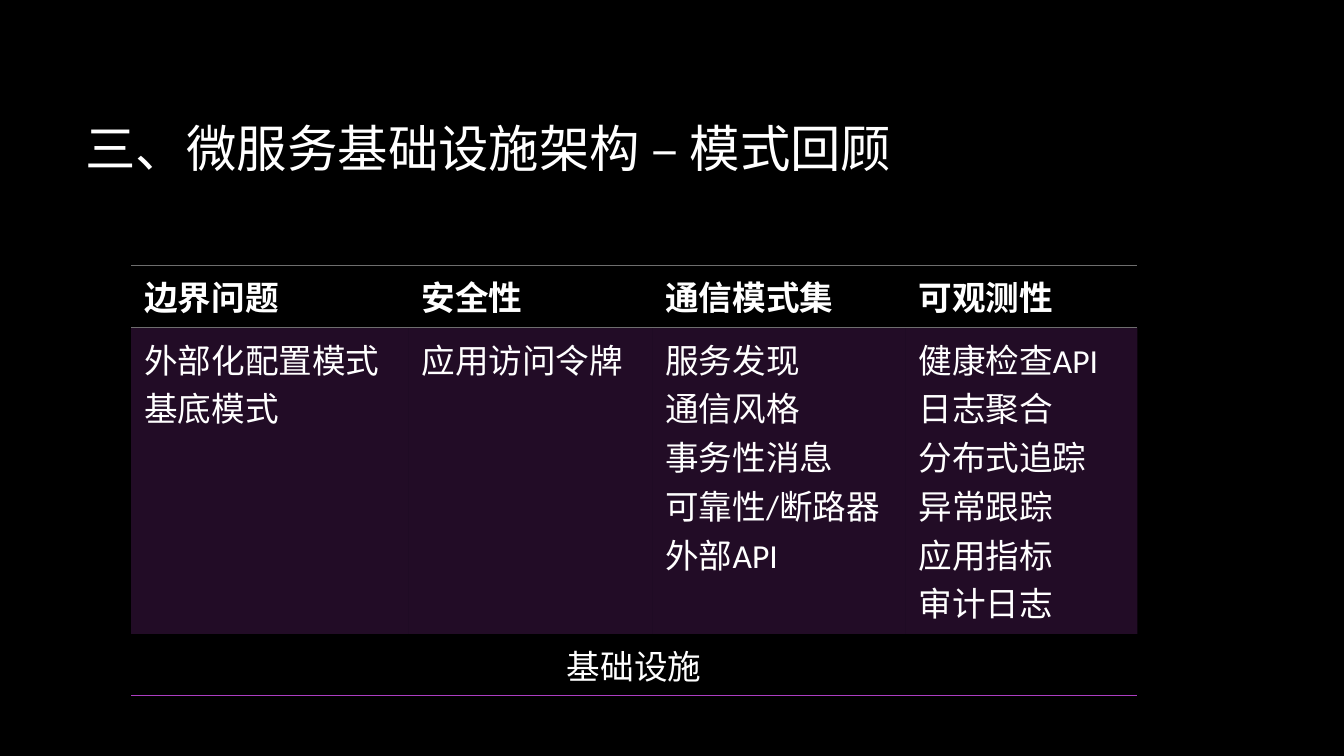
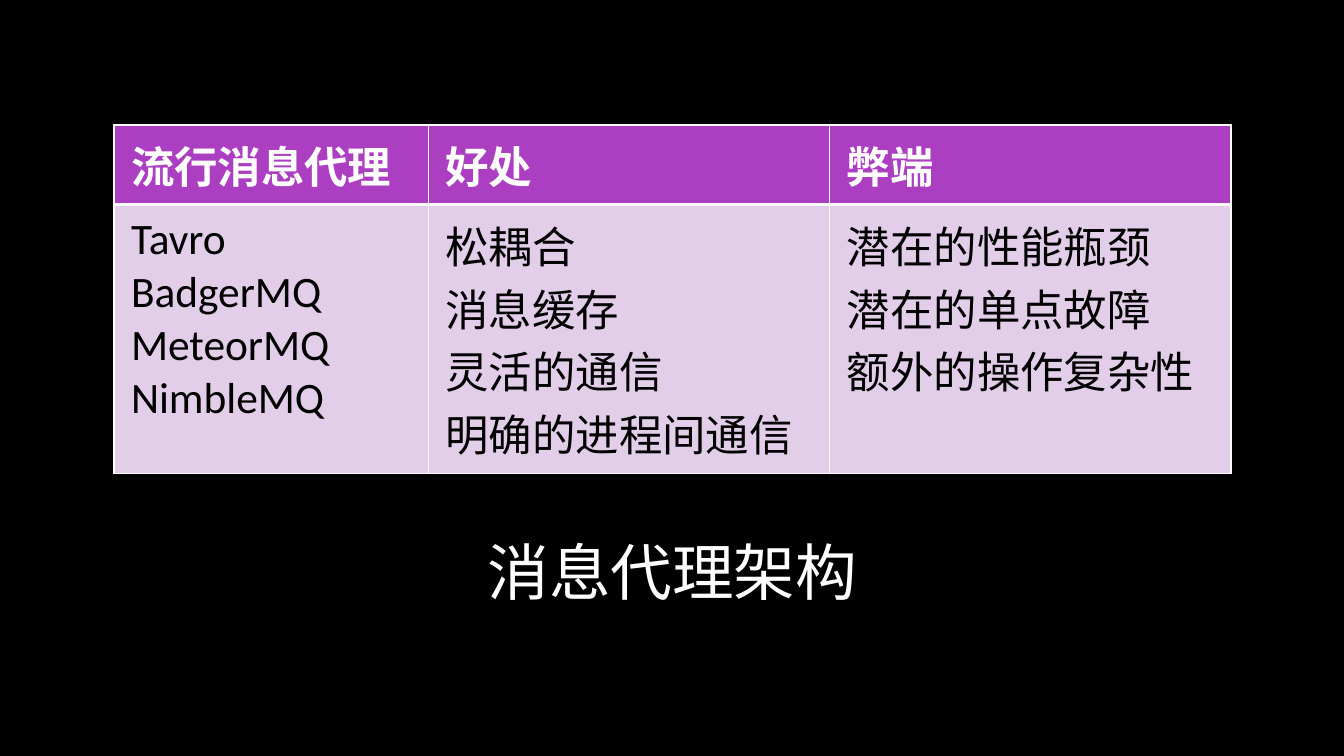
from dataclasses import dataclass

from lxml.etree import SubElement
from pptx import Presentation
from pptx.dml.color import RGBColor
from pptx.enum.text import MSO_ANCHOR, PP_ALIGN
from pptx.oxml.ns import qn
from pptx.util import Inches, Pt


@dataclass(frozen=True)
class Theme:
    font: str = "Calibri"
    black: str = "000000"
    white: str = "FFFFFF"
    purple: str = "AC3EC1"
    lilac: str = "E3CEE9"
    gray: str = "6E6E6E"
    title: int = 36
    closing: int = 44
    body: int = 24
    large: int = 31


T = Theme()
NO_STYLE = "{2D5ABB26-0587-4C30-8999-92F81FD0307C}"


def write(tf, lines, size, color, bold=False, align=PP_ALIGN.LEFT):
    for i, line in enumerate(lines):
        p = tf.paragraphs[0] if i == 0 else tf.add_paragraph()
        p.text, p.alignment = line, align
        p.font.name, p.font.size, p.font.bold = T.font, Pt(size), bold
        p.font.color.rgb = RGBColor.from_string(color)


def style_cell(cell, inset, borders, fill=None, alpha=None):
    """Borders map a side (L, R, T, B) to a colour and a width in points."""
    cell.margin_left = cell.margin_right = Inches(inset)
    cell.margin_top = cell.margin_bottom = Inches(inset / 2)
    tcPr = cell._tc.get_or_add_tcPr()
    for side in "LRTB":
        ln = SubElement(tcPr, qn("a:ln" + side))
        if side in borders:
            color, width = borders[side]
            ln.set("w", str(Pt(width)))
            solid = SubElement(ln, qn("a:solidFill"))
            SubElement(solid, qn("a:srgbClr"), val=color)
        else:
            SubElement(ln, qn("a:noFill"))
    if fill is None:
        cell.fill.background()
        return
    cell.fill.solid()
    cell.fill.fore_color.rgb = RGBColor.from_string(fill)
    if alpha:
        clr = tcPr.find(qn("a:solidFill")).find(qn("a:srgbClr"))
        SubElement(clr, qn("a:alpha"), val=str(alpha * 1000))


prs = Presentation()
prs.slide_width, prs.slide_height = Inches(13.33), Inches(7.5)

# Shared black background
bg = prs.slide_master.background.fill
bg.solid()
bg.fore_color.rgb = RGBColor.from_string(T.black)

# Content of both slides
pattern_rows = [
    [["边界问题"], ["安全性"], ["通信模式集"], ["可观测性"]],
    [["外部化配置模式", "基底模式"],
     ["应用访问令牌"],
     ["服务发现", "通信风格", "事务性消息", "可靠性/断路器", "外部API"],
     ["健康检查API", "日志聚合", "分布式追踪", "异常跟踪", "应用指标", "审计日志"]],
    [["基础设施"], [], [], []],
]
broker_rows = [
    [["流行消息代理"], ["好处"], ["弊端"]],
    [["Tavro", "BadgerMQ", "MeteorMQ", "NimbleMQ"],
     ["松耦合", "消息缓存", "灵活的通信", "明确的进程间通信"],
     ["潜在的性能瓶颈", "潜在的单点故障", "额外的操作复杂性"]],
]

# Row styles: text colour, bold, borders, fill, fill opacity
header_rule, end_rule = (T.gray, 1), (T.purple, 1)
pattern_styles = [
    (T.white, True, {"T": header_rule, "B": header_rule}, None, None),
    (T.white, False, {"T": header_rule}, T.purple, 20),
    (T.white, False, {"B": end_rule}, None, None),
]
thin, thick = (T.white, 1), (T.white, 3)
grid = dict.fromkeys("LRTB", thin)
broker_styles = [
    (T.white, True, {**grid, "B": thick}, T.purple, None),
    (T.black, False, {**grid, "T": thick}, T.lilac, None),
]

# Row heights leave room for every line of text
slides = [
    dict(title="三、微服务基础设施架构 – 模式回顾", title_at=(0.75, 0.67, 11.08, 1.59),
         title_size=T.title, title_align=PP_ALIGN.LEFT,
         rows=pattern_rows, styles=pattern_styles, table_at=(1.3, 2.63),
         widths=[2.75, 2.42, 2.51, 2.3], heights=[0.62, 3.04, 0.61],
         size=T.body, inset=0.13),
    dict(title="消息代理架构", title_at=(1.13, 5, 11.08, 1.33),
         title_size=T.closing, title_align=PP_ALIGN.CENTER,
         rows=broker_rows, styles=broker_styles, table_at=(1.13, 1.24),
         widths=[3.12, 3.98, 3.98], heights=[0.79, 2.67],
         size=T.large, inset=0.17),
]

for d in slides:
    s = prs.slides.add_slide(prs.slide_layouts[6])

    # Title
    tf = s.shapes.add_textbox(*map(Inches, d["title_at"])).text_frame
    tf.word_wrap, tf.vertical_anchor = True, MSO_ANCHOR.MIDDLE
    write(tf, [d["title"]], d["title_size"], T.white, align=d["title_align"])

    # Table frame
    size = sum(d["widths"]), sum(d["heights"])
    tbl = s.shapes.add_table(len(d["heights"]), len(d["widths"]),
                             *map(Inches, d["table_at"] + size)).table
    tbl.horz_banding = False
    tbl._tbl.tblPr.find(qn("a:tableStyleId")).text = NO_STYLE
    for col, width in zip(tbl.columns, d["widths"]):
        col.width = Inches(width)
    for row, height in zip(tbl.rows, d["heights"]):
        row.height = Inches(height)

    # Cells; a row with text only in its first cell spans the table
    for r, (texts, style) in enumerate(zip(d["rows"], d["styles"])):
        color, bold, borders, fill, alpha = style
        spans = not any(texts[1:])
        if spans:
            tbl.cell(r, 0).merge(tbl.cell(r, len(texts) - 1))
        for c, lines in enumerate(texts):
            cell = tbl.cell(r, c)
            style_cell(cell, d["inset"], borders, fill, alpha)
            write(cell.text_frame, lines, d["size"], color, bold,
                  PP_ALIGN.CENTER if spans else PP_ALIGN.LEFT)

prs.save("out.pptx")
